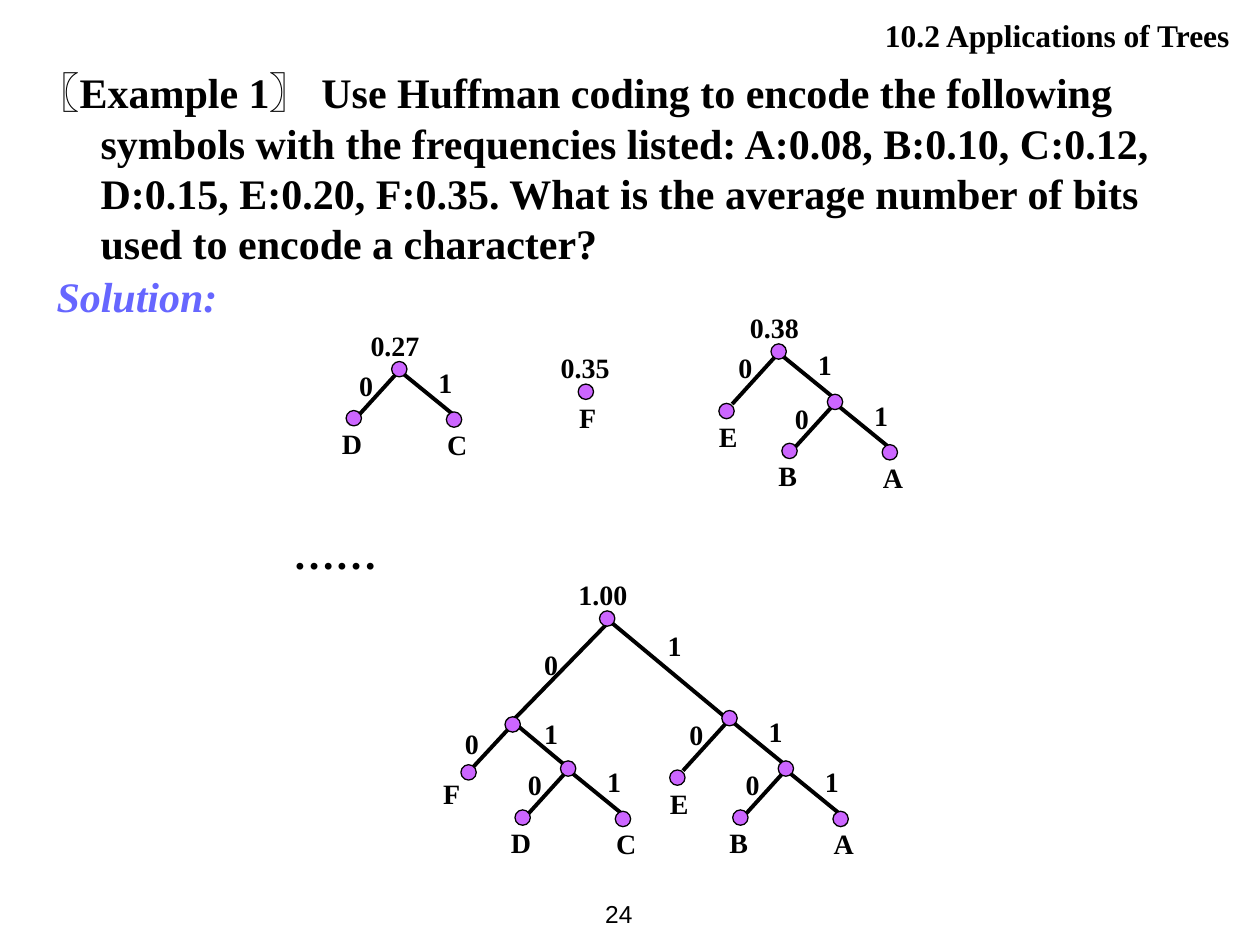
"""Build the Huffman coding example slide with its partial and final code trees."""
import dataclasses
import typing

import lxml.etree
import pptx
import pptx.dml.color
import pptx.enum.shapes
import pptx.enum.text
import pptx.oxml.ns
import pptx.util

Pt = pptx.util.Pt
Align = pptx.enum.text.PP_ALIGN
Offset = typing.Tuple[float, float]


@dataclasses.dataclass(frozen=True)
class Theme:
    ink: str = "000000"
    accent: str = "6666FF"
    node: str = "CC66FF"
    serif: str = "Times New Roman"
    sans: str = "Arial"
    body_size: float = 24
    header_size: float = 18
    label_size: float = 16
    number_size: float = 14
    edge_width: float = 2.25
    outline_width: float = 0.75
    node_diameter: float = 8.8
    label_width: float = 45
    label_height: float = 37


THEME = Theme()


@dataclasses.dataclass(frozen=True)
class Run:
    text: str
    size: float = THEME.body_size
    font: str = THEME.serif
    color: str = THEME.ink
    bold: bool = True
    italic: bool = False


@dataclasses.dataclass(frozen=True)
class TextBlock:
    left: float
    top: float
    width: float
    height: float
    runs: typing.Tuple[Run, ...]
    align: Align = Align.LEFT
    space_before: float = 0
    hanging: float = 0
    wrap: bool = True
    anchor: pptx.enum.text.MSO_ANCHOR = pptx.enum.text.MSO_ANCHOR.TOP


@dataclasses.dataclass(frozen=True)
class Branch:
    bit: str
    start: Offset
    end: Offset
    bit_offset: Offset


@dataclasses.dataclass(frozen=True)
class Node:
    x: float
    y: float
    symbol: str = ""
    symbol_offset: Offset = (-1, 1)
    value: str = ""
    value_dx: float = -1
    children: typing.Tuple[typing.Tuple[Branch, "Node"], ...] = ()


ZERO = Branch("0", (0, 0.7), (-26.6, 30), (-19, -4))
ONE = Branch("1", (1.5, 2), (31.7, 26.6), (26.3, -5.8))
INNER_ZERO = Branch("0", (-0.7, 0.7), (-27.4, 29.5), (-23.4, -2.2))
INNER_ONE = Branch("1", (-0.7, -2.2), (29.5, 23), (22, -8))
ROOT_ZERO = Branch("0", (1.4, 1.4), (-54.7, 59), (-32, 13))
ROOT_ONE = Branch("1", (1.4, 1.4), (69.8, 58.3), (38.5, 2.2))


def pair_tree(x: float, y: float, zero: str, one: str, value: str = "") -> Node:
    return Node(x, y, value=value, children=(
        (ZERO, Node(x - 26, y + 28, zero)),
        (ONE, Node(x + 31.3, y + 28.8, one, (1.8, 1))),
    ))


def eba_tree(x: float, y: float, value: str = "") -> Node:
    return Node(x, y, value=value, children=(
        (ZERO, Node(x - 29.8, y + 34, "E", (1, 1.4))),
        (ONE, pair_tree(x + 32.2, y + 28.8, "B", "A")),
    ))


PARTIAL_TREES = (
    pair_tree(228.2, 211, "D", "C", "0.27"),
    Node(334.8, 223.9, "F", (1, 1.4), "0.35", 1),
    eba_tree(445, 200.9, "0.38"),
)
FINAL_TREE = Node(347, 353.5, value="1.00", children=(
    (ROOT_ZERO, Node(293, 414, children=(
        (INNER_ZERO, Node(267.8, 441.4, "F", (-9.7, -1.4))),
        (INNER_ONE, pair_tree(324.7, 439.2, "D", "C")),
    ))),
    (ROOT_ONE, eba_tree(416.9, 410.4)),
))

QUESTION = (
    "Example 1〗 Use Huffman coding to encode the following symbols with the "
    "frequencies listed: A:0.08, B:0.10, C:0.12, D:0.15, E:0.20, F:0.35. "
    "What is the average number of bits used to encode a character?"
)
TEXT_BLOCKS = (
    TextBlock(320.4, 504, 48.2, 36,
              (Run("24", THEME.number_size, THEME.sans, bold=False),),
              Align.RIGHT, wrap=False, anchor=pptx.enum.text.MSO_ANCHOR.MIDDLE),
    TextBlock(14.4, 34.6, 658, 122.4, (Run("〖", font=THEME.sans), Run(QUESTION)),
              space_before=15, hanging=36),
    TextBlock(25.2, 151.2, 658, 36, (Run("Solution:", color=THEME.accent, italic=True),),
              space_before=15, hanging=36),
    TextBlock(161.3, 298.1, 442, 36, (Run("……", italic=True),),
              space_before=15, hanging=36),
    TextBlock(286.6, 5.8, 427.7, 28.8,
              (Run("10.2 Applications of Trees ", THEME.header_size),),
              Align.RIGHT, space_before=11.2),
)


def rgb(color: str) -> pptx.dml.color.RGBColor:
    return pptx.dml.color.RGBColor.from_string(color)


def draw_text(shapes: typing.Any, block: TextBlock) -> None:
    box = shapes.add_textbox(Pt(block.left), Pt(block.top), Pt(block.width), Pt(block.height))
    frame = box.text_frame
    frame.word_wrap = block.wrap
    frame.vertical_anchor = block.anchor
    paragraph = frame.paragraphs[0]
    paragraph.alignment = block.align
    paragraph.space_before = Pt(block.space_before)
    if block.hanging:
        properties = paragraph._p.get_or_add_pPr()
        properties.set("marL", str(Pt(block.hanging)))
        properties.set("indent", str(-Pt(block.hanging)))
    for part in block.runs:
        run = paragraph.add_run()
        run.text = part.text
        run.font.name = part.font
        run.font.size = Pt(part.size)
        run.font.bold = part.bold
        run.font.italic = part.italic
        run.font.color.rgb = rgb(part.color)


def draw_label(shapes: typing.Any, text: str, center_x: float, top: float,
               align: Align = Align.CENTER) -> None:
    draw_text(shapes, TextBlock(center_x - THEME.label_width / 2, top, THEME.label_width,
                                THEME.label_height, (Run(text, THEME.label_size),), align))


def draw_branch(shapes: typing.Any, parent: Node, branch: Branch) -> None:
    (x1, y1), (x2, y2) = branch.start, branch.end
    edge = shapes.add_connector(
        pptx.enum.shapes.MSO_CONNECTOR.STRAIGHT,
        Pt(parent.x + x1), Pt(parent.y + y1), Pt(parent.x + x2), Pt(parent.y + y2))
    edge.line.color.rgb = rgb(THEME.ink)
    edge.line.width = Pt(THEME.edge_width)
    lxml.etree.SubElement(edge._element.spPr, pptx.oxml.ns.qn("a:effectLst"))
    dx, dy = branch.bit_offset
    draw_label(shapes, branch.bit, parent.x + dx, parent.y + dy)


def draw_tree(shapes: typing.Any, node: Node) -> None:
    for branch, child in node.children:
        draw_branch(shapes, node, branch)
        draw_tree(shapes, child)
    size = THEME.node_diameter
    dot = shapes.add_shape(pptx.enum.shapes.MSO_SHAPE.OVAL, Pt(node.x - size / 2),
                           Pt(node.y - size / 2), Pt(size), Pt(size))
    dot.shadow.inherit = False
    dot.fill.solid()
    dot.fill.fore_color.rgb = rgb(THEME.node)
    dot.line.color.rgb = rgb(THEME.ink)
    dot.line.width = Pt(THEME.outline_width)
    if node.symbol:
        dx, dy = node.symbol_offset
        draw_label(shapes, node.symbol, node.x + dx, node.y + dy)
    if node.value:
        draw_label(shapes, node.value, node.x + node.value_dx, node.y - 27, Align.JUSTIFY)


def main() -> None:
    deck = pptx.Presentation()
    deck.slide_width, deck.slide_height = Pt(720), Pt(540)
    slide = deck.slides.add_slide(deck.slide_layouts[6])
    for block in TEXT_BLOCKS:
        draw_text(slide.shapes, block)
    for trees in (PARTIAL_TREES, (FINAL_TREE,)):
        group = slide.shapes.add_group_shape()
        for tree in trees:
            draw_tree(group.shapes, tree)
    deck.save("out.pptx")


if __name__ == "__main__":
    main()
